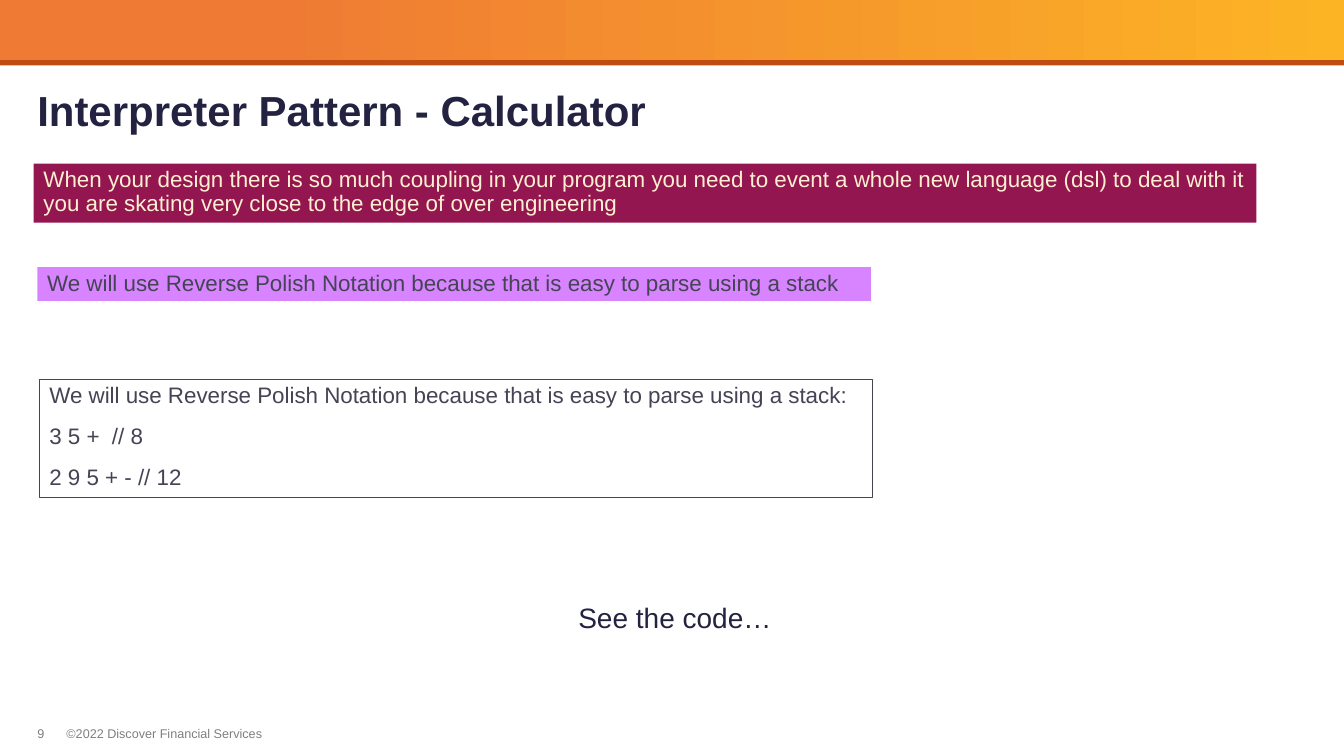
from pptx import Presentation
from pptx.dml.color import RGBColor as Rgb
from pptx.enum.shapes import MSO_SHAPE as Kind
from pptx.enum.text import MSO_ANCHOR as Anchor, PP_ALIGN as Align
from pptx.util import Pt

THEME = {
    "font": "Arial",
    "navy": "232241", "slate": "444455", "cream": "FEEFD0", "grey": "808080",
    "wine": "941651", "violet": "D883FF",
    "rust": "BF4C11", "orange": "EF7A34", "gold": "FCB424",
    "title": 30, "call": 20, "body": 16, "foot": 9,
}
WIDE, HIGH = 960, 540
EDGE = 26.64
FOOT = 518.4
BANDS = [(46.8, "rust"), (43.2, "orange")]
PANELS = [
    ((24, 116.8, 873.4, 42.2), "wine", None, "cream", [
        "When your design there is so much coupling in your program you need to event "
        "a whole new language (dsl) to deal with it you are skating very close to the "
        "edge of over engineering"]),
    ((EDGE, 190.8, 595.4, 24.2), "violet", None, "slate", [
        "We will use Reverse Polish Notation because that is easy to parse using a stack"]),
    ((28.2, 271.2, 595.4, 84), None, "slate", "slate", [
        "We will use Reverse Polish Notation because that is easy to parse using a stack:",
        "3 5 +  // 8",
        "2 9 5 + - // 12"]),
]
LABELS = [
    ((47.5, FOOT, 141, 10.8), "©2022 Discover Financial Services", "foot", "grey", 0),
    ((EDGE, FOOT, 10.8, 10.8), "9", "foot", "grey", 0),
    ((406, 428.4, 153.4, 28.8), "See the code…", "call", "navy", 7.2),
]


def tint(name):
    return Rgb.from_string(THEME[name])


def write(frame, lines, size, color, space=0.9, bold=False):
    for i, line in enumerate(lines):
        para = frame.add_paragraph() if i else frame.paragraphs[0]
        para.alignment = Align.LEFT
        para.line_spacing = space
        if i:
            para.space_before = Pt(12)
        run = para.add_run()
        run.text = line
        font = run.font
        font.name, font.size, font.bold = THEME["font"], Pt(THEME[size]), bold
        font.color.rgb = tint(color)


def inset(frame, side, top, base):
    frame.margin_left = frame.margin_right = Pt(side)
    frame.margin_top, frame.margin_bottom = Pt(top), Pt(base)


def block(slide, area, fill, line=None):
    shape = slide.shapes.add_shape(Kind.RECTANGLE, *map(Pt, area))
    shape.shadow.inherit = False
    if fill:
        shape.fill.solid()
        shape.fill.fore_color.rgb = tint(fill)
    else:
        shape.fill.background()
    if line:
        shape.line.color.rgb = tint(line)
        shape.line.width = Pt(0.75)
    else:
        shape.line.fill.background()
    return shape


def main():
    deck = Presentation()
    deck.slide_width, deck.slide_height = Pt(WIDE), Pt(HIGH)
    slide = deck.slides.add_slide(deck.slide_layouts[6])

    for tall, fill in BANDS:
        band = block(slide, (0, 0, WIDE, tall), fill)
    band.fill.gradient()
    band.fill.gradient_angle = 0
    for stop, (spot, name) in zip(band.fill.gradient_stops, [(0.2, "orange"), (1, "gold")]):
        stop.position, stop.color.rgb = spot, tint(name)

    title = slide.shapes.add_textbox(*map(Pt, (EDGE, 46.8, 907.2, 61.2))).text_frame
    title.word_wrap = True
    title.vertical_anchor = Anchor.MIDDLE
    inset(title, 0, 7.2, 0)
    write(title, ["Interpreter Pattern - Calculator"], "title", "navy", 0.85, True)

    for area, fill, line, color, lines in PANELS:
        frame = block(slide, area, fill, line).text_frame
        frame.word_wrap = True
        frame.vertical_anchor = Anchor.TOP
        inset(frame, 7.2, 3.6, 3.6)
        write(frame, lines, "body", color)

    for area, text, size, color, side in LABELS:
        frame = slide.shapes.add_textbox(*map(Pt, area)).text_frame
        frame.word_wrap = False
        inset(frame, side, side / 2, side / 2)
        write(frame, [text], size, color, 0.9 if side else 1)

    deck.save("out.pptx")


if __name__ == "__main__":
    main()
